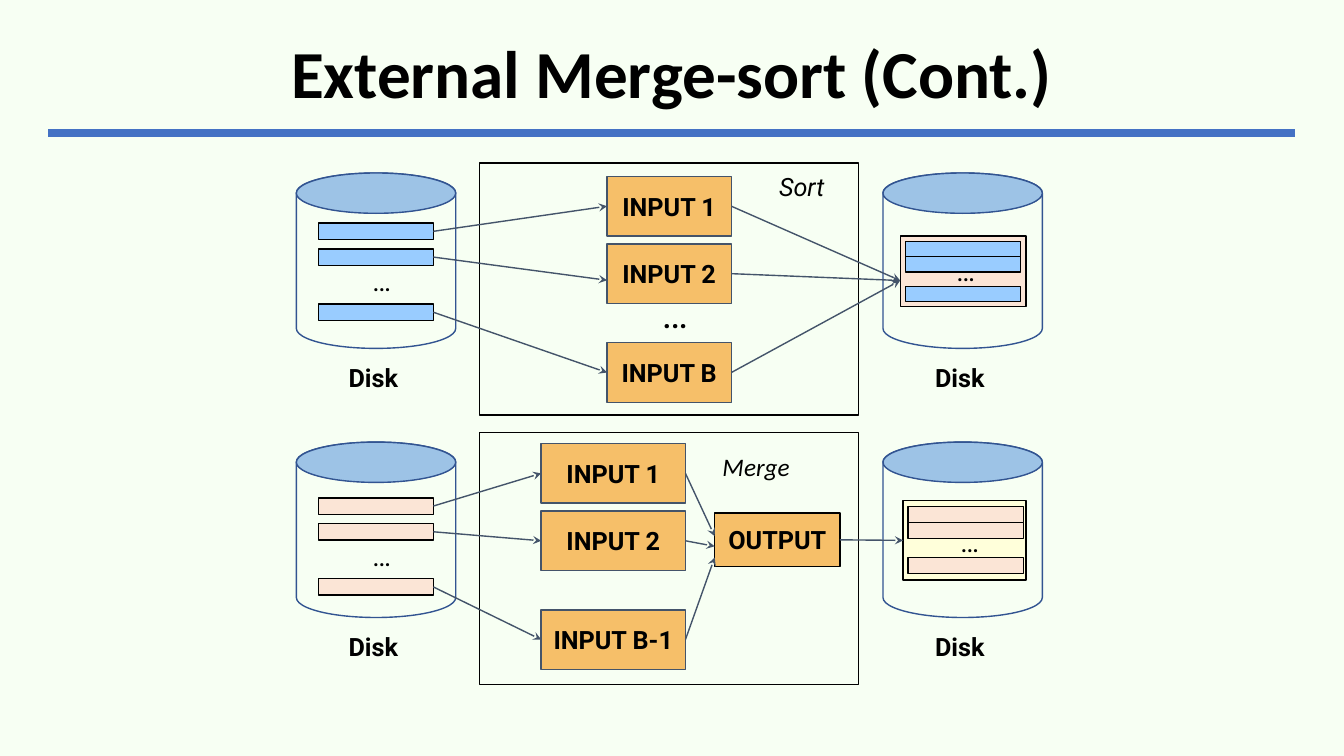
from lxml.etree import SubElement
from pptx import Presentation
from pptx.dml.color import RGBColor
from pptx.enum.shapes import MSO_CONNECTOR as Connector, MSO_SHAPE as Preset
from pptx.enum.text import MSO_ANCHOR as Anchor, PP_ALIGN as Align
from pptx.oxml.ns import qn
from pptx.util import Pt

COLORS = {
    "background": "F7FFF3", "rule": "4472C4", "text": "000000",
    "outline": "000000", "disk": "325491", "lid": "9DC3E6",
    "buffer": "F6BF69", "arrow": "44546A", "page": "99CCFF",
    "run": "FBE5D6", "merged": "FFFFDA",
}
LEFT_DISK, RIGHT_DISK = 211.7, 630.7
DISK_WIDTH, DISK_HEIGHT, LID_HEIGHT = 113.8, 125.3, 28.8
PAGE_LEFT, PAGE_WIDTH, PAGE_HEIGHT = 227.5, 82.1, 11.7
PAGE_STEPS = (0, 18.4, 57.8)
BUFFER_HEIGHT = 42.6
BUFFER_STEPS = (0, 48.2, 118.8)


def rgb(name):
    return RGBColor.from_string(COLORS[name])


def write(frame, text, size, font="Roboto", bold=False, italic=False):
    paragraph = frame.paragraphs[0]
    run = paragraph.add_run()
    run.text = text
    run.font.size = Pt(size)
    run.font.name = font
    run.font.bold = bold
    run.font.italic = italic
    run.font.color.rgb = rgb("text")
    return paragraph


def add_label(slide, box, text, size, wrap=True, **style):
    label = slide.shapes.add_textbox(*map(Pt, box))
    label.text_frame.word_wrap = wrap
    write(label.text_frame, text, size, **style)
    return label


def add_block(slide, box, fill=None, line="outline", preset=Preset.RECTANGLE):
    shape = slide.shapes.add_shape(preset, *map(Pt, box))
    shape.shadow.inherit = False
    if fill:
        shape.fill.solid()
        shape.fill.fore_color.rgb = rgb(fill)
    else:
        shape.fill.background()
    shape.line.color.rgb = rgb(line)
    shape.line.width = Pt(1)
    return shape


def add_buffer(slide, box, text, line="arrow"):
    shape = add_block(slide, box, "buffer", line)
    shape.text_frame.word_wrap = False
    shape.text_frame.vertical_anchor = Anchor.MIDDLE
    write(shape.text_frame, text, 18, bold=True).alignment = Align.CENTER
    return shape


def add_line(slide, start, end, color, width):
    line = slide.shapes.add_connector(Connector.STRAIGHT, *map(Pt, start + end))
    line.line.color.rgb = rgb(color)
    line.line.width = Pt(width)
    SubElement(line._element.spPr, qn("a:effectLst"))
    return line


def add_arrow(slide, source, target, end_y=None):
    """Join right side to left side; end_y moves the tip off the middle."""
    tip_y = target.top.pt + target.height.pt / 2 if end_y is None else end_y
    start = (source.left.pt + source.width.pt, source.top.pt + source.height.pt / 2)
    arrow = add_line(slide, start, (target.left.pt, tip_y), "arrow", 1)
    arrow.begin_connect(source, 3)
    if end_y is None:
        arrow.end_connect(target, 1)
    SubElement(arrow.line._get_or_add_ln(), qn("a:tailEnd"), type="stealth")


def add_disk(slide, left, top):
    add_block(slide, (left, top, DISK_WIDTH, DISK_HEIGHT), None, "disk", Preset.CAN)
    add_block(slide, (left, top, DISK_WIDTH, LID_HEIGHT), "lid", "disk", Preset.OVAL)
    add_label(slide, (left + 30.2, top + 131.4, 52.6, 28.8), "Disk", 18,
              wrap=False, bold=True)


def add_frame(slide, top):
    """Memory frame between a source disk and a target disk."""
    for left in (LEFT_DISK, RIGHT_DISK):
        add_disk(slide, left, top + 7)
    add_block(slide, (342.7, top, 270.7, 180))


def add_source_pages(slide, top, fill):
    add_label(slide, (259, top + 25.6, 50.4, 31.7), "…", 20)
    return [add_block(slide, (PAGE_LEFT, top + step, PAGE_WIDTH, PAGE_HEIGHT), fill)
            for step in PAGE_STEPS]


def add_inputs(slide, left, top, width, names):
    return [add_buffer(slide, (left, top + step, width, BUFFER_HEIGHT), name)
            for step, name in zip(BUFFER_STEPS, names)]


def add_result(slide, box, fill, page_fill, page_height, last_step, dots):
    """Block on the target disk: two stacked pages, dots, and a last page."""
    left, top, width, height = box
    block = add_block(slide, box, fill)
    for step in (0, page_height, last_step):
        add_block(slide, (left + 3.6, top + 4 + step, 82.4, page_height), page_fill)
    add_label(slide, (*dots, 50.4, 31.7), "…", 20)
    return block


def add_sort(slide, top):
    add_frame(slide, top)
    add_label(slide, (549.4, 118.8, 50.4, 28.8), "Sort", 18, italic=True)
    add_label(slide, (465.8, 203, 50.4, 41), "…", 28)
    pages = add_source_pages(slide, 159.4, "page")
    inputs = add_inputs(slide, 433.6, 126, 88.8, ("INPUT 1", "INPUT 2", "INPUT B"))
    result = add_result(slide, (643, 168.6, 90, 50.2), "run", "page", 10.8, 32,
                        (676, 177.8))
    for page, buffer, end_y in zip(pages, inputs, (None, 200.2, None)):
        add_arrow(slide, page, buffer, end_y)
        add_arrow(slide, buffer, result, 200.4)


def add_merge(slide, top):
    add_frame(slide, top)
    add_label(slide, (509, 319, 75.6, 28.8), "Merge", 18, font="Calibri", italic=True)
    pages = add_source_pages(slide, 355.6, "run")
    inputs = add_inputs(slide, 386.6, 316.8, 103, ("INPUT 1", "INPUT 2", "INPUT B-1"))
    output = add_buffer(slide, (510.5, 366.5, 89.5, 38.2), "OUTPUT", "outline")
    result = add_result(slide, (645.1, 357.6, 87.8, 56.8), "merged", "run", 11.6, 36.6,
                        (679, 370.8))
    for page, buffer, end_y in zip(pages, inputs, (383, 390.2, 398.2)):
        add_arrow(slide, page, buffer)
        add_arrow(slide, buffer, output, end_y)
    add_arrow(slide, output, result)


def main():
    presentation = Presentation()
    presentation.slide_width, presentation.slide_height = Pt(960), Pt(540)
    slide = presentation.slides.add_slide(presentation.slide_layouts[6])
    slide.background.fill.solid()
    slide.background.fill.fore_color.rgb = rgb("background")

    # Title and rule
    add_line(slide, (34.6, 95), (925.2, 95), "rule", 6)
    title = add_label(slide, (34.6, 17.3, 890.6, 74.9), "External Merge-sort (Cont.)",
                      48, font="Calibri", bold=True)
    title.text_frame.vertical_anchor = Anchor.MIDDLE
    title.text_frame.paragraphs[0].alignment = Align.CENTER
    title.text_frame.paragraphs[0].line_spacing = 0.9

    # The two phases
    add_sort(slide, 116.6)
    add_merge(slide, 308.8)
    presentation.save("out.pptx")


if __name__ == "__main__":
    main()
